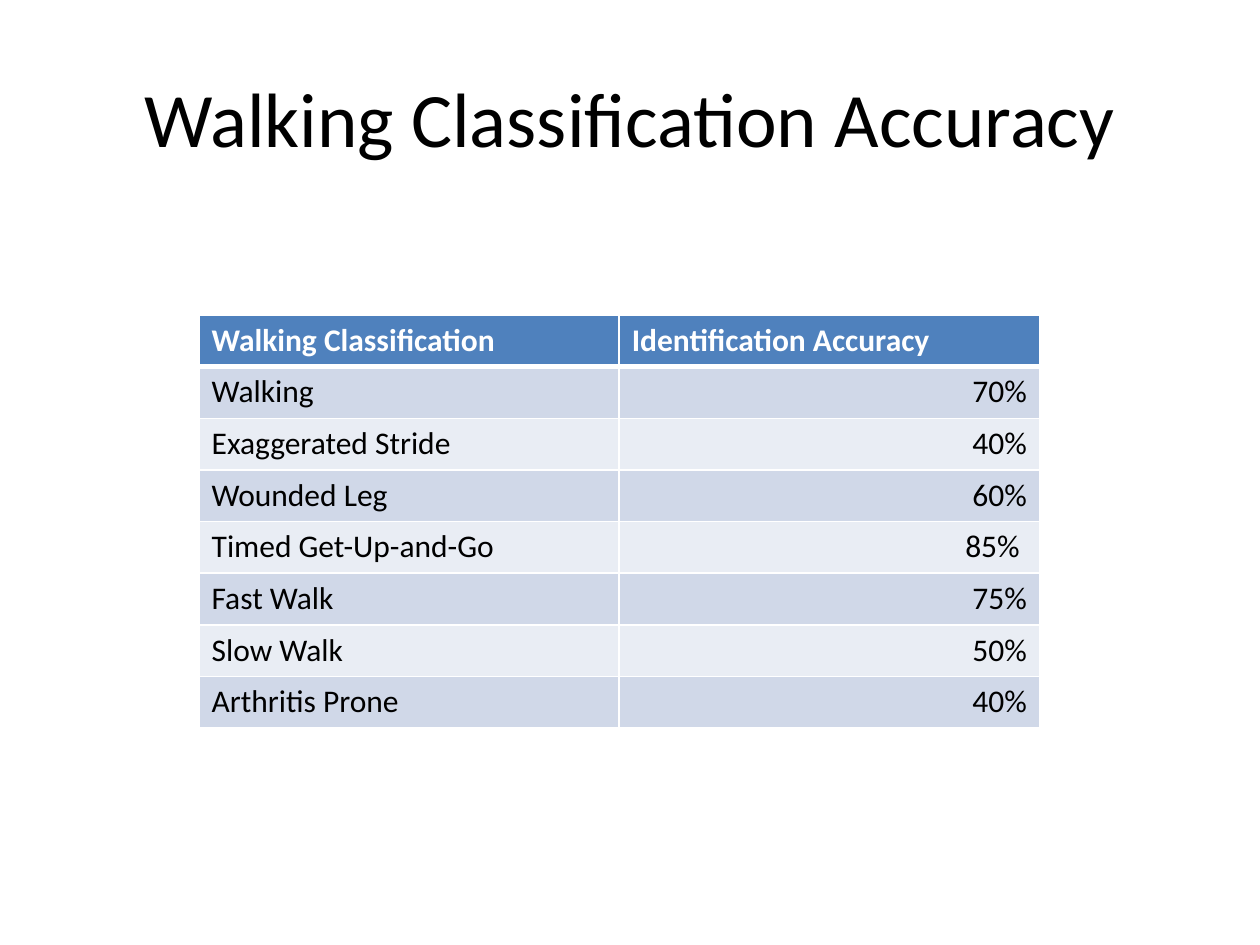
from dataclasses import dataclass

from lxml import etree
from pptx import Presentation
from pptx.dml.color import RGBColor
from pptx.enum.text import MSO_ANCHOR, PP_ALIGN
from pptx.oxml.ns import qn
from pptx.util import Inches, Pt

LEFT, CENTER, RIGHT = PP_ALIGN.LEFT, PP_ALIGN.CENTER, PP_ALIGN.RIGHT
MIDDLE = MSO_ANCHOR.MIDDLE
TITLE_ONLY_LAYOUT = 5


@dataclass(frozen=True)
class Theme:
    font: str = "Calibri"
    title_size: int = 44
    table_size: int = 18
    text: str = "000000"
    header_text: str = "FFFFFF"
    header_fill: str = "4F81BD"
    bands: tuple = ("D0D8E8", "E9EDF4")
    border: str = "FFFFFF"
    border_width: int = 1
    header_rule_width: int = 3


class SlideBuilder:
    def __init__(self, slide, theme):
        self.slide = slide
        self.theme = theme

    def add_run(self, paragraph, text, size, color, bold=False, align=LEFT):
        paragraph.alignment = align
        run = paragraph.add_run()
        run.text = text
        run.font.name = self.theme.font
        run.font.size = Pt(size)
        run.font.bold = bold
        run.font.color.rgb = RGBColor.from_string(color)

    def title(self, text, left, top, width, height):
        shape = self.slide.shapes.title
        shape.left, shape.top = Inches(left), Inches(top)
        shape.width, shape.height = Inches(width), Inches(height)
        shape.text_frame.vertical_anchor = MIDDLE
        self.add_run(shape.text_frame.paragraphs[0], text,
                     self.theme.title_size, self.theme.text, align=CENTER)

    def set_borders(self, cell, top, bottom):
        side = self.theme.border_width
        properties = cell._tc.get_or_add_tcPr()
        for tag, width in (("lnL", side), ("lnR", side), ("lnT", top), ("lnB", bottom)):
            line = etree.SubElement(properties, qn(f"a:{tag}"), w=str(Pt(width)))
            fill = etree.SubElement(line, qn("a:solidFill"))
            etree.SubElement(fill, qn("a:srgbClr"), val=self.theme.border)

    def table(self, rows, left, top, width, row_height):
        """Draw a header row over banded rows, with values on the right."""
        theme = self.theme
        columns = len(rows[0])
        table = self.slide.shapes.add_table(
            len(rows), columns, Inches(left), Inches(top),
            Inches(width), Inches(row_height * len(rows))).table
        for row_index, values in enumerate(rows):
            table.rows[row_index].height = Inches(row_height)
            header = row_index == 0
            color = theme.header_text if header else theme.text
            fill = theme.header_fill if header else theme.bands[(row_index - 1) % 2]
            top_width = theme.header_rule_width if row_index == 1 else theme.border_width
            bottom_width = theme.header_rule_width if header else theme.border_width
            for column_index, value in enumerate(values):
                cell = table.cell(row_index, column_index)
                align = RIGHT if column_index and not header else LEFT
                self.set_borders(cell, top_width, bottom_width)
                cell.fill.solid()
                cell.fill.fore_color.rgb = RGBColor.from_string(fill)
                self.add_run(cell.text_frame.paragraphs[0], value,
                             theme.table_size, color, header, align)


ACCURACY = [
    ("Walking Classification", "Identification Accuracy"),
    ("Walking", "70%"),
    ("Exaggerated Stride", "40%"),
    ("Wounded Leg", "60%"),
    ("Timed Get-Up-and-Go", "85% "),
    ("Fast Walk", "75%"),
    ("Slow Walk", "50%"),
    ("Arthritis Prone", "40%"),
]


def main():
    presentation = Presentation()
    presentation.slide_width, presentation.slide_height = Inches(10), Inches(7.5)
    slide = presentation.slides.add_slide(presentation.slide_layouts[TITLE_ONLY_LAYOUT])
    builder = SlideBuilder(slide, Theme())

    # Heading
    builder.title("Walking Classification Accuracy", 0.5, 0.3, 9, 1.25)

    # Accuracy of each kind of walk
    builder.table(ACCURACY, left=1.58, top=2.5, width=6.67, row_height=0.41)

    presentation.save("out.pptx")


if __name__ == "__main__":
    main()
